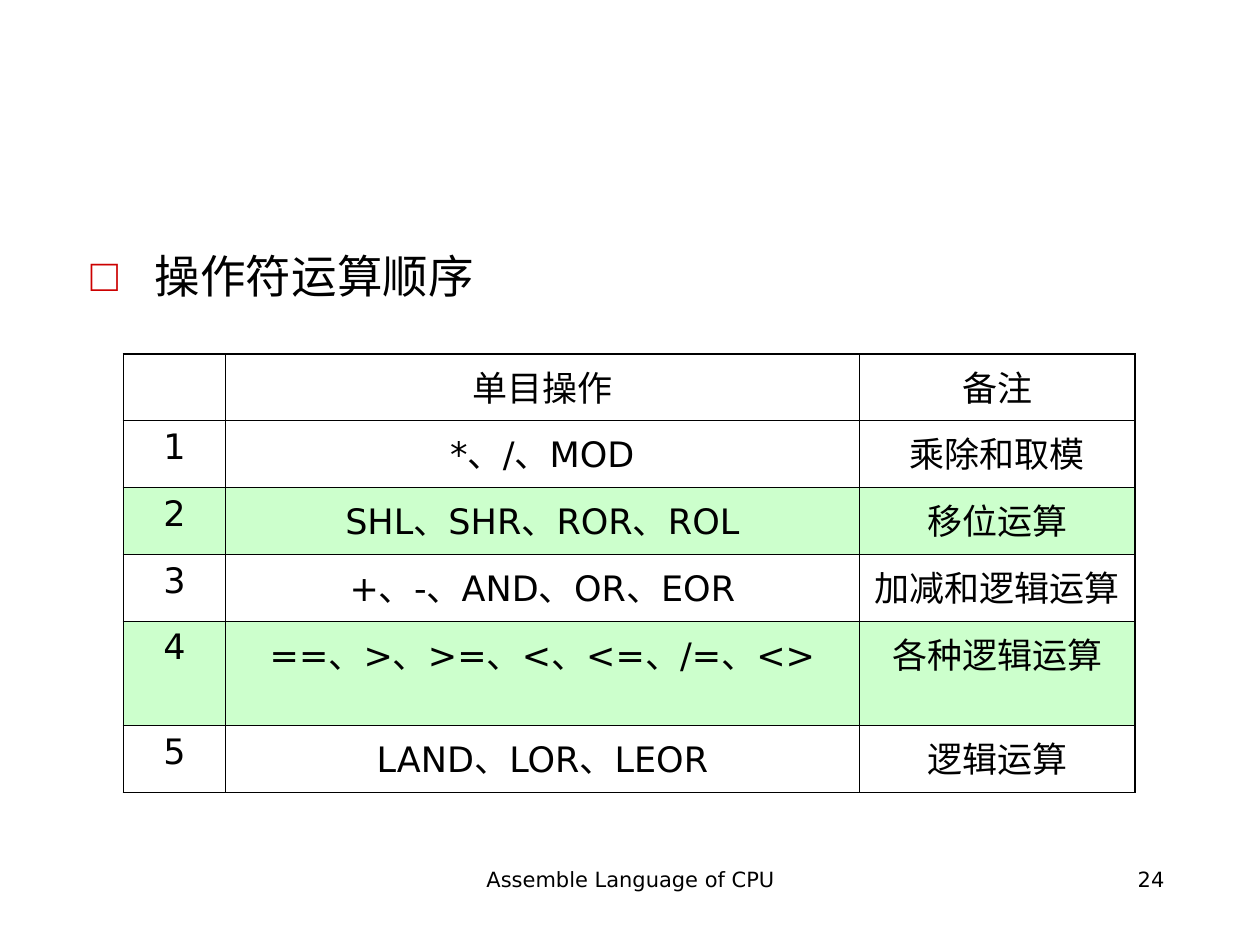
from lxml import etree
from pptx import Presentation
from pptx.dml.color import RGBColor
from pptx.enum.text import MSO_ANCHOR, PP_ALIGN
from pptx.oxml.ns import qn
from pptx.util import Inches, Pt

CENTER, RIGHT = PP_ALIGN.CENTER, PP_ALIGN.RIGHT
TOP = MSO_ANCHOR.TOP

BLACK = RGBColor(0x00, 0x00, 0x00)
RED = RGBColor(0xCC, 0x00, 0x00)
GREEN = RGBColor(0xCC, 0xFF, 0xCC)
FONT = "DejaVu Sans"
THIN, THICK = Pt(0.45), Pt(1.08)

COLUMN_WIDTHS = [0.81, 5.03, 2.19]
ROW_HEIGHTS = [0.53, 0.53, 0.53, 0.53, 0.83, 0.53]
ROWS = [
    ("", "单目操作", "备注"),
    ("1", "*、/、MOD", "乘除和取模"),
    ("2", "SHL、SHR、ROR、ROL", "移位运算"),
    ("3", "+、-、AND、OR、EOR", "加减和逻辑运算"),
    ("4", "==、>、>=、<、<=、/=、<>", "各种逻辑运算"),
    ("5", "LAND、LOR、LEOR", "逻辑运算"),
]


def format_paragraph(p, size, align=None):
    p.alignment = align
    for r in p.runs:
        r.font.name = FONT
        r.font.size = Pt(size)
        r.font.color.rgb = BLACK


def add_footer_text(slide, text, left, width, align):
    box = slide.shapes.add_textbox(Inches(left), Inches(6.83), Inches(width), Inches(0.52))
    tf = box.text_frame
    tf.word_wrap = True
    tf.text = text
    format_paragraph(tf.paragraphs[0], 12, align)


def set_bullet(p, char, color, indent):
    pPr = p._p.get_or_add_pPr()
    pPr.set("marL", str(Inches(indent)))
    pPr.set("indent", str(-Inches(indent)))
    bu_clr = etree.SubElement(pPr, qn("a:buClr"))
    etree.SubElement(bu_clr, qn("a:srgbClr")).set("val", str(color))
    etree.SubElement(pPr, qn("a:buChar")).set("char", char)


def fill_body(body, text):
    body.left, body.top = Inches(0.62), Inches(1.92)
    body.width, body.height = Inches(4.29), Inches(4.67)
    tf = body.text_frame
    tf.vertical_anchor = TOP
    tf.text = text
    p = tf.paragraphs[0]
    set_bullet(p, "□", RED, 0.51)
    p.space_before = Pt(0)
    format_paragraph(p, 26)


def set_borders(cell, widths):
    """Draw black borders; widths are in the order left, right, top, bottom."""
    tcPr = cell._tc.get_or_add_tcPr()
    for side, width in zip("LRTB", widths):
        ln = etree.SubElement(tcPr, qn(f"a:ln{side}"), w=str(width))
        fill = etree.SubElement(ln, qn("a:solidFill"))
        etree.SubElement(fill, qn("a:srgbClr")).set("val", str(BLACK))


def add_operator_table(slide):
    last_row, last_col = len(ROWS) - 1, len(COLUMN_WIDTHS) - 1
    frame = slide.shapes.add_table(
        len(ROWS), len(COLUMN_WIDTHS), Inches(0.98), Inches(2.81),
        Inches(sum(COLUMN_WIDTHS)), Inches(sum(ROW_HEIGHTS)))
    table = frame.table
    table.first_row = table.horz_banding = False
    for column, width in zip(table.columns, COLUMN_WIDTHS):
        column.width = Inches(width)

    for i, texts in enumerate(ROWS):
        table.rows[i].height = Inches(ROW_HEIGHTS[i])
        for j, text in enumerate(texts):
            cell = table.cell(i, j)
            outer_sides = (j == 0, j == last_col, i == 0, i == last_row)
            set_borders(cell, [THICK if outer else THIN for outer in outer_sides])
            if i in (2, 4):
                cell.fill.solid()
                cell.fill.fore_color.rgb = GREEN
            else:
                cell.fill.background()
            if text:
                cell.text = text
                p = cell.text_frame.paragraphs[0]
                p.space_before = Pt(5)
                format_paragraph(p, 20, CENTER)


def main():
    prs = Presentation()
    prs.slide_width, prs.slide_height = Inches(10), Inches(7.5)
    slide = prs.slides.add_slide(prs.slide_layouts[1])
    title = slide.shapes.title
    title.element.getparent().remove(title.element)

    add_footer_text(slide, "Assemble Language of CPU", 3.42, 3.17, CENTER)
    add_footer_text(slide, "24", 7.17, 2.17, RIGHT)
    fill_body(slide.placeholders[1], "操作符运算顺序")
    add_operator_table(slide)
    prs.save("out.pptx")


if __name__ == "__main__":
    main()
